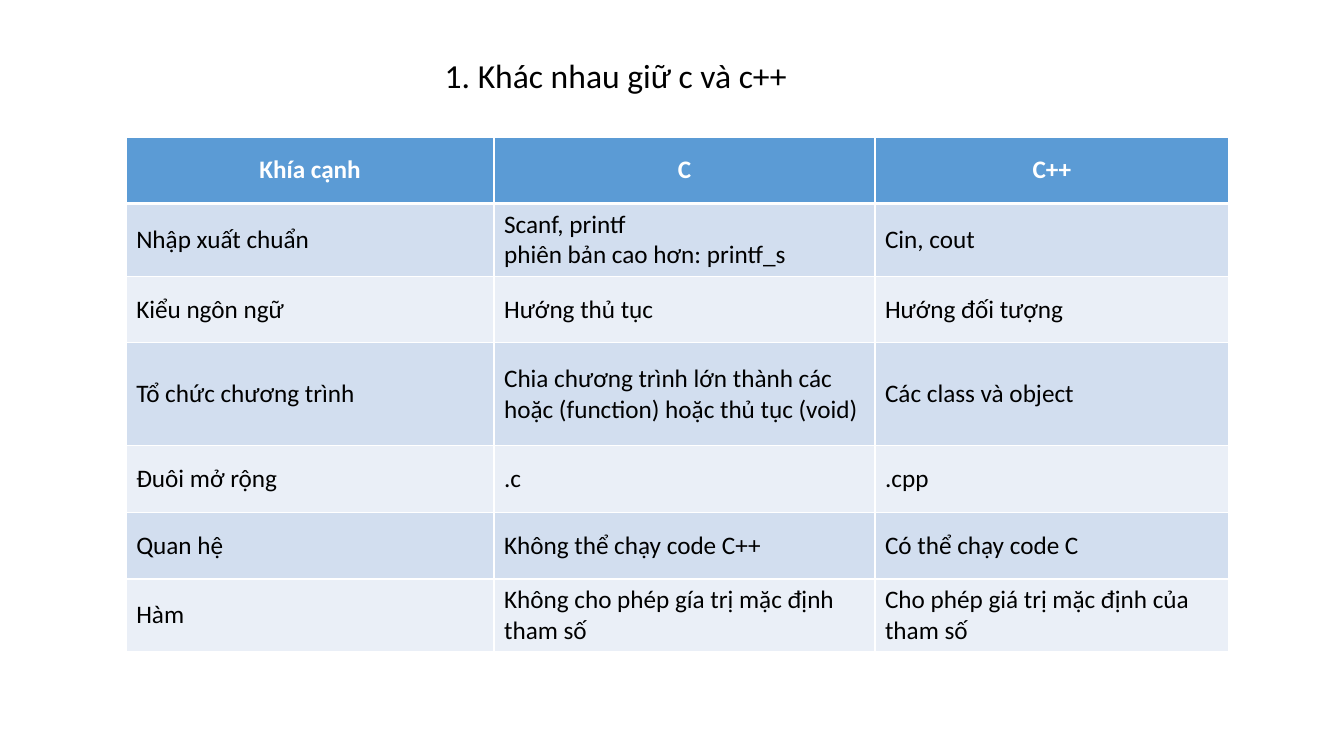
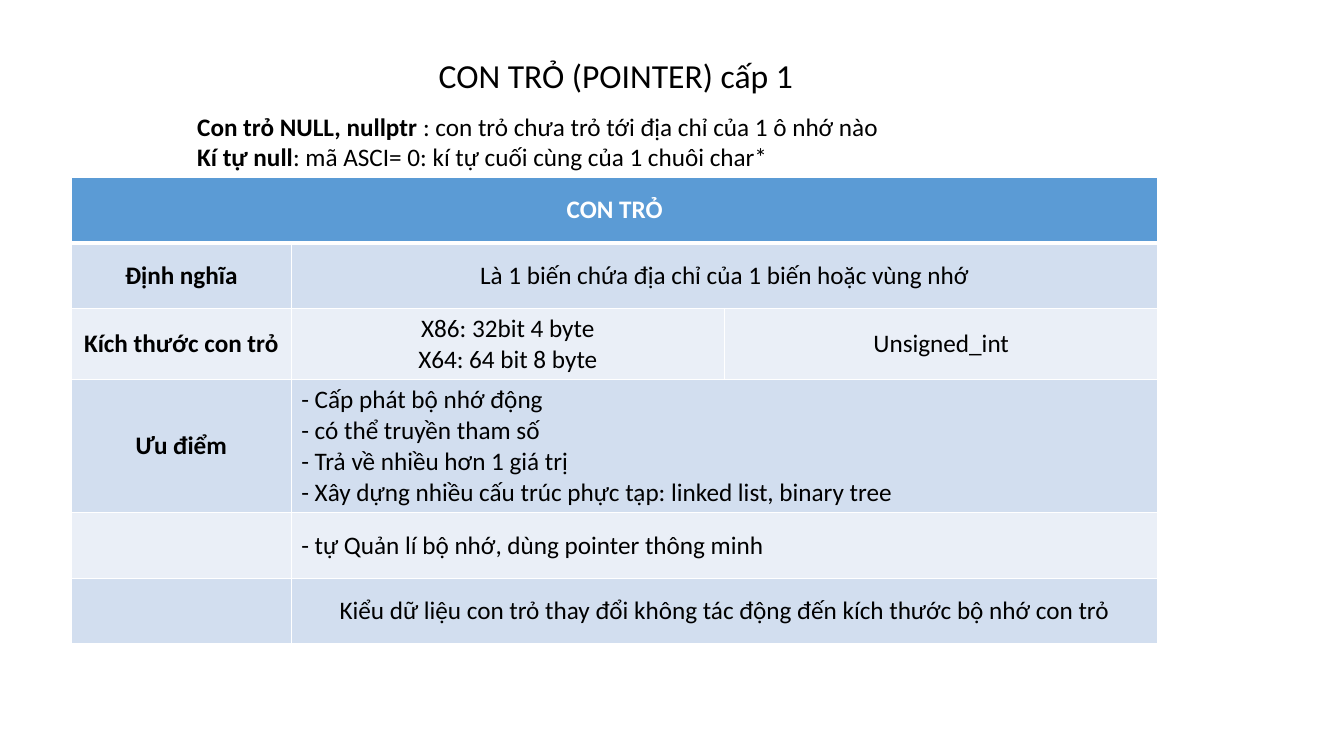
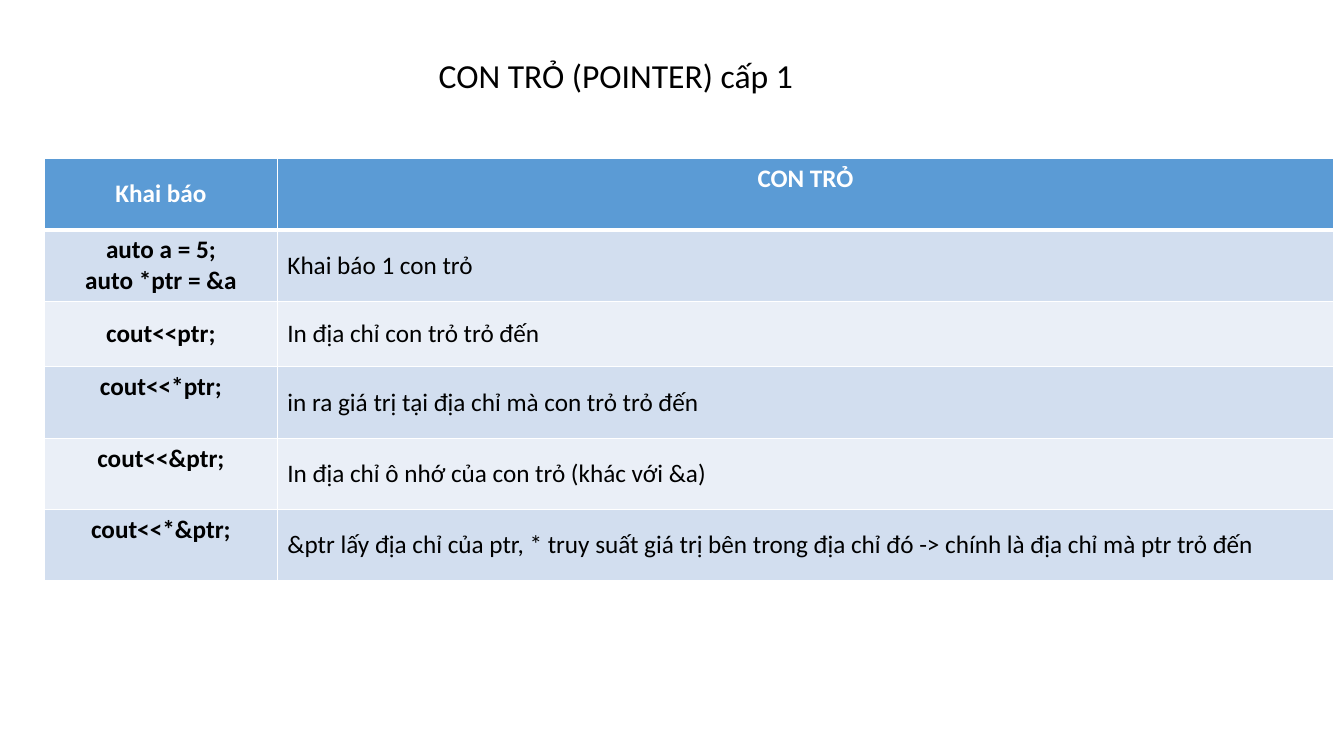
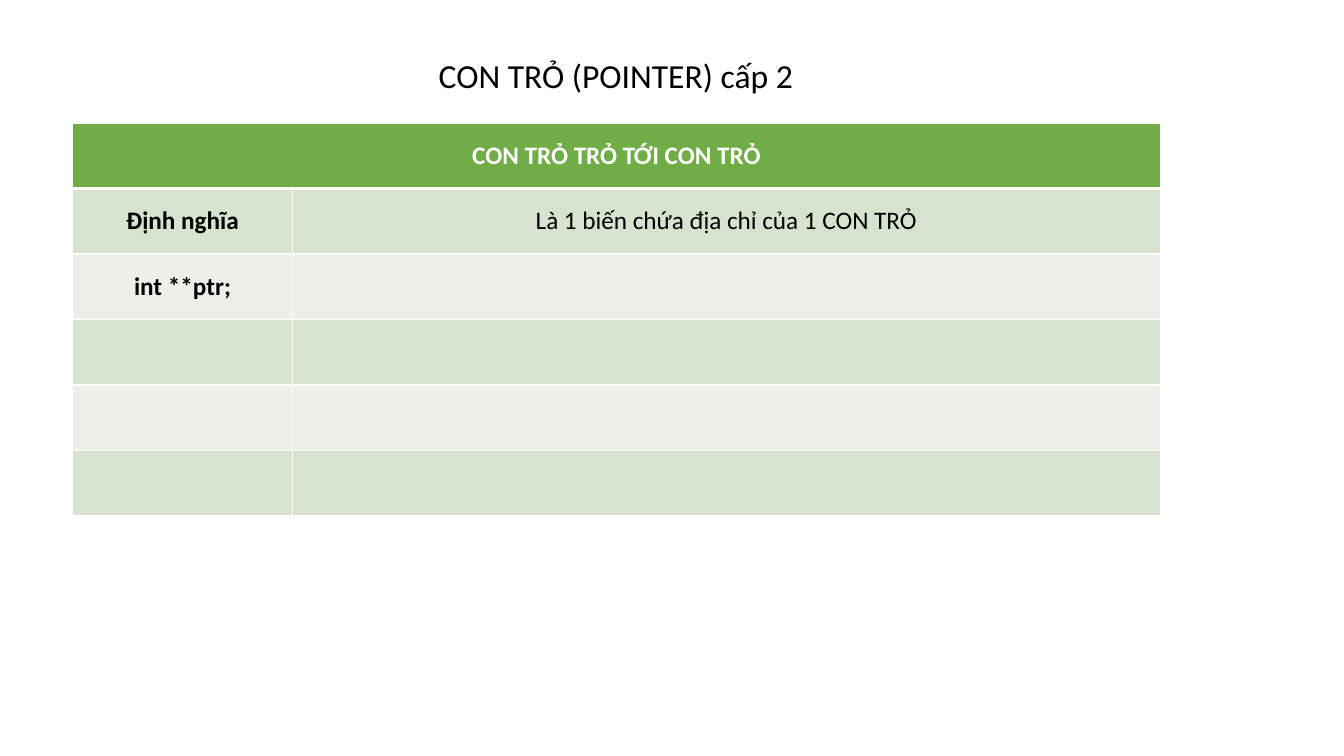
from dataclasses import dataclass

from lxml import etree
from pptx import Presentation
from pptx.dml.color import RGBColor
from pptx.enum.text import MSO_ANCHOR, PP_ALIGN
from pptx.oxml.ns import qn
from pptx.util import Cm, Pt

LEFT, CENTER = PP_ALIGN.LEFT, PP_ALIGN.CENTER
TOP, MIDDLE = MSO_ANCHOR.TOP, MSO_ANCHOR.MIDDLE


@dataclass(frozen=True)
class Theme:
    """Colours, font, type sizes and line widths of the deck."""
    font: str = "Calibri"
    title_size: int = 24
    body_size: int = 18
    ink: str = "000000"
    white: str = "FFFFFF"
    # Header colour, then the two alternating row colours
    blue: tuple = ("5B9BD5", "D2DEEF", "EAEFF7")
    green: tuple = ("70AD47", "D5E3CF", "EBF1E9")
    thin_line: int = 1
    header_line: int = 3


THEME = Theme()


def write_text(frame, paragraphs, size, color, align=LEFT, **spacing):
    """Write paragraphs, each a list of (text, bold) runs, into a text frame."""
    frame.word_wrap = True
    for number, runs in enumerate(paragraphs):
        paragraph = frame.add_paragraph() if number else frame.paragraphs[0]
        for name, value in {"alignment": align, **spacing}.items():
            setattr(paragraph, name, value)
        for text, bold in runs:
            run = paragraph.add_run()
            run.text = text
            font_format = {"name": THEME.font, "size": Pt(size), "bold": bold}
            for name, value in font_format.items():
                setattr(run.font, name, value)
            run.font.color.rgb = RGBColor.from_string(color)


def set_borders(cell, widths):
    """Give a cell white borders with widths in left, right, top, bottom order."""
    properties = cell._tc.get_or_add_tcPr()
    for index, (side, width) in enumerate(zip("LRTB", widths)):
        line = etree.Element(qn(f"a:ln{side}"), w=str(Pt(width)))
        fill = etree.SubElement(line, qn("a:solidFill"))
        etree.SubElement(fill, qn("a:srgbClr"), val=THEME.white)
        properties.insert(index, line)


# Lengths are in centimetres; None in a row extends the cell on its left.
# "raised" lists the (row, column) cells whose text sits at the top.
SLIDES = [
    {
        "title": "1. Khác nhau giữ c và c++",
        "palette": THEME.blue,
        "position": (3.18, 3.45),
        "columns": (9.27, 9.6, 8.92),
        "heights": (1.68, 1.83, 1.68, 2.59, 1.68, 1.68, 1.83),
        "aligns": (LEFT, LEFT, LEFT),
        "bold_labels": False,
        "rows": [
            ("Khía cạnh", "C", "C++"),
            ("Nhập xuất chuẩn", "Scanf, printf\nphiên bản cao hơn: printf_s", "Cin, cout"),
            ("Kiểu ngôn ngữ", "Hướng thủ tục", "Hướng đối tượng"),
            ("Tổ chức chương trình",
             "Chia chương trình lớn thành các hoặc (function) hoặc thủ tục (void)",
             "Các class và object"),
            ("Đuôi mở rộng", ".c", ".cpp"),
            ("Quan hệ", "Không thể chạy code C++", "Có thể chạy code C"),
            ("Hàm", "Không cho phép gía trị mặc định tham số",
             "Cho phép giá trị mặc định của tham số"),
        ],
    },
    {
        "title": "CON TRỎ (POINTER) cấp 1",
        "palette": THEME.blue,
        "position": (1.8, 4.47),
        "columns": (5.54, 10.92, 10.92),
        "heights": (1.65, 1.65, 1.8, 3.35, 1.65, 1.65),
        "aligns": (CENTER, CENTER, CENTER),
        "bold_labels": True,
        "rows": [
            ("CON TRỎ", None, None),
            ("Định nghĩa", "Là 1 biến chứa địa chỉ của 1 biến hoặc vùng nhớ", None),
            ("Kích thước con trỏ", "X86: 32bit 4 byte\nX64: 64 bit 8 byte", "Unsigned_int"),
            ("Ưu điểm",
             "- Cấp phát bộ nhớ động\n- có thể truyền tham số\n- Trả về nhiều hơn 1 giá trị\n"
             "- Xây dựng nhiều cấu trúc phực tạp: linked list, binary tree", None),
            ("", "- tự Quản lí bộ nhớ, dùng pointer thông minh", None),
            ("", "Kiểu dữ liệu con trỏ thay đổi không tác động đến kích thước bộ nhớ con trỏ",
             None),
        ],
        "note": [
            [("Con trỏ NULL, nullptr ", True),
             (": con trỏ chưa trỏ tới địa chỉ của 1 ô nhớ nào", False)],
            [("Kí tự null", True),
             (": mã ASCI= 0: kí tự cuối cùng của 1 chuôi char*", False)],
        ],
    },
    {
        "title": "CON TRỎ (POINTER) cấp 1",
        "palette": THEME.blue,
        "position": (1.12, 3.99),
        "columns": (5.87, 26.62),
        "heights": (1.8, 1.8, 1.65, 1.8, 1.8, 1.8),
        "aligns": (CENTER, LEFT),
        "bold_labels": True,
        "raised": {(0, 1), (3, 0), (4, 0), (5, 0)},
        "rows": [
            ("Khai báo", "CON TRỎ"),
            ("auto a = 5;\nauto *ptr = &a", "Khai báo 1 con trỏ"),
            ("cout<<ptr;", "In địa chỉ con trỏ trỏ đến"),
            ("cout<<*ptr;", "in ra giá trị tại địa chỉ mà con trỏ trỏ đến"),
            ("cout<<&ptr;", "In địa chỉ ô nhớ của con trỏ (khác với &a)"),
            ("cout<<*&ptr;",
             "&ptr lấy địa chỉ của ptr, * truy suất giá trị bên trong địa chỉ đó"
             " -> chính là địa chỉ mà ptr trỏ đến"),
        ],
    },
    {
        "title": "CON TRỎ (POINTER) cấp 2",
        "palette": THEME.green,
        "position": (1.83, 3.1),
        "columns": (5.54, 21.87),
        "heights": (1.65,) * 6,
        "aligns": (CENTER, CENTER),
        "bold_labels": True,
        "rows": [
            ("CON TRỎ TRỎ TỚI CON TRỎ", None),
            ("Định nghĩa", "Là 1 biến chứa địa chỉ của 1 CON TRỎ"),
            ("int **ptr;", ""),
            ("", ""),
            ("", ""),
            ("", ""),
        ],
    },
]

presentation = Presentation()
presentation.slide_width, presentation.slide_height = Cm(33.87), Cm(19.05)
blank_layout = presentation.slide_layouts[6]

for content in SLIDES:
    slide = presentation.slides.add_slide(blank_layout)
    title = slide.shapes.add_textbox(Cm(2.82), Cm(1.37), Cm(25.4), Cm(1.3))
    write_text(title.text_frame, [[(content["title"], False)]], THEME.title_size, THEME.ink,
               CENTER, line_spacing=0.9, space_before=Pt(10))

    rows, columns, heights = content["rows"], content["columns"], content["heights"]
    left, top = content["position"]
    table = slide.shapes.add_table(len(rows), len(columns), Cm(left), Cm(top),
                                   Cm(sum(columns)), Cm(sum(heights))).table
    for column, width in zip(table.columns, columns):
        column.width = Cm(width)
    for row, height in zip(table.rows, heights):
        row.height = Cm(height)

    header_fill, *band_fills = content["palette"]
    for row_index, texts in enumerate(rows):
        is_header = row_index == 0
        row_fill = header_fill if is_header else band_fills[(row_index - 1) % 2]
        top_line = THEME.header_line if row_index == 1 else THEME.thin_line
        bottom_line = THEME.header_line if is_header else THEME.thin_line
        for column_index, text in enumerate(texts):
            cell = table.cell(row_index, column_index)
            set_borders(cell, (THEME.thin_line, THEME.thin_line, top_line, bottom_line))
            cell.fill.solid()
            cell.fill.fore_color.rgb = RGBColor.from_string(row_fill)
            raised = (row_index, column_index) in content.get("raised", ())
            cell.vertical_anchor = TOP if raised else MIDDLE
            if not text:
                continue
            bold = is_header or (content["bold_labels"] and column_index == 0)
            align = CENTER if is_header else content["aligns"][column_index]
            if text.startswith("- "):
                align = LEFT
            write_text(cell.text_frame, [[(line, bold)] for line in text.split("\n")],
                       THEME.body_size, THEME.white if is_header else THEME.ink, align)
        if None in texts:
            first = table.cell(row_index, texts.index(None) - 1)
            first.merge(table.cell(row_index, len(texts) - 1))

    if "note" in content:
        note = slide.shapes.add_textbox(Cm(4.72), Cm(2.67), Cm(21.56), Cm(1.8))
        write_text(note.text_frame, content["note"], THEME.body_size, THEME.ink)

presentation.save("out.pptx")
